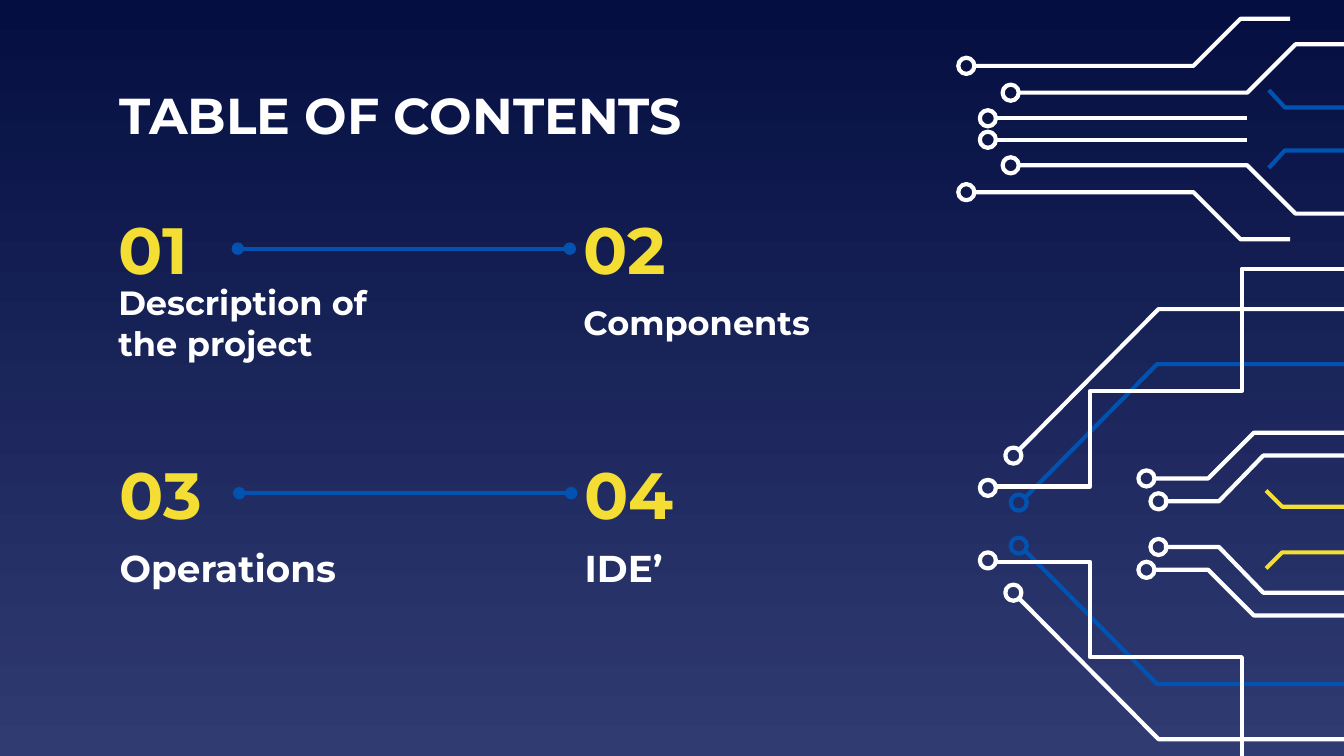
from dataclasses import dataclass

from lxml import etree
from pptx import Presentation
from pptx.dml.color import RGBColor
from pptx.enum.shapes import MSO_CONNECTOR, MSO_SHAPE
from pptx.enum.text import MSO_ANCHOR, MSO_AUTO_SIZE, PP_ALIGN
from pptx.oxml.ns import qn
from pptx.util import Cm, Pt

STRAIGHT = MSO_CONNECTOR.STRAIGHT
OVAL = MSO_SHAPE.OVAL
MIDDLE = MSO_ANCHOR.MIDDLE
FIXED = MSO_AUTO_SIZE.NONE
LEFT = PP_ALIGN.LEFT

COLORS = {"white": "FFFFFF", "blue": "0152B1", "yellow": "F5DE34",
          "top": "040E41", "base": "303B72"}
FONT = "Montserrat"
WIDTH = Pt(2.25)
RING = 0.12
GAP = 0.58  # from the top of a number to the top of its label


@dataclass
class Trace:
    """A circuit track; axis is the height of its mirror line."""
    axis: float
    points: list
    color: str = "white"
    ring: tuple = ()


@dataclass
class Entry:
    num: str
    label: str
    x: float
    y: float
    size: int
    tall: float = 0.52


HAND, CHIP, TIP = 0.96, 3.9, 3.94
TRACES = [
    # Upper bundle
    Trace(HAND, [(7.24, 0.49), (8.88, 0.49), (9.23, 0.14), (9.6, 0.14)],
          ring=(7.19, 0.49)),
    Trace(HAND, [(7.58, 0.69), (9.28, 0.69), (9.64, 0.33), (10.25, 0.33)],
          ring=(7.52, 0.69)),
    Trace(HAND, [(7.41, 0.88), (9.28, 0.88)], ring=(7.35, 0.88)),
    Trace(HAND, [(9.44, 0.67), (9.56, 0.8), (10.13, 0.8)], "blue"),
    # Lower bundle
    Trace(CHIP, [(7.62, 3.71), (8.61, 2.71), (10.19, 2.71)], "blue",
          (7.58, 3.74)),
    Trace(CHIP, [(7.41, 3.62), (8.11, 3.62), (8.11, 2.91), (9.24, 2.91),
                 (9.24, 2), (10.2, 2)], ring=(7.35, 3.63)),
    Trace(CHIP, [(7.58, 3.35), (8.62, 2.3), (10.2, 2.3)], ring=(7.54, 3.39)),
    Trace(CHIP, [(8.66, 3.73), (9.07, 3.73), (9.4, 3.39), (10.2, 3.39)],
          ring=(8.62, 3.73)),
    Trace(CHIP, [(8.58, 3.56), (8.99, 3.56), (9.33, 3.22), (10.2, 3.22)],
          ring=(8.53, 3.56)),
    Trace(TIP, [(9.42, 3.65), (9.54, 3.77), (10.11, 3.77)], "yellow"),
]

ENTRIES = [
    Entry("01", "Description of the project", 0.78, 1.56, 18, 0.82),
    Entry("02", "Components", 4.24, 1.56, 18),
    Entry("03", "Operations", 0.79, 3.38, 20),
    Entry("04", "IDE’", 4.25, 3.38, 20),
]


def cm(inch: float) -> Cm:
    return Cm(inch * 2.54)


def rgb(name: str) -> RGBColor:
    return RGBColor.from_string(COLORS[name])


def apply(item, values: dict) -> None:
    for key, value in values.items():
        setattr(item, key, value)


def stroke(shape, color: str) -> None:
    shape.line.color.rgb = rgb(color)
    shape.line.width = WIDTH


def outline(shape, color: str) -> None:
    shape.fill.background()
    shape.shadow.inherit = False
    stroke(shape, color)


def draw_trace(slide, trace: Trace, flip: bool) -> None:
    def place(x: float, y: float) -> tuple:
        return cm(x), cm(2 * trace.axis - y if flip else y)

    spots = [place(*point) for point in trace.points]
    form = slide.shapes.build_freeform(*spots[0], scale=1.0)
    form.add_line_segments(spots[1:], close=False)
    outline(form.convert_to_shape(), trace.color)
    if trace.ring:
        x, y = place(*trace.ring)
        half, side = cm(RING / 2), cm(RING)
        ring = slide.shapes.add_shape(OVAL, x - half, y - half, side, side)
        outline(ring, trace.color)


def write(shape, text: str, box: tuple, size: int, color: str) -> None:
    left, top, width, height = map(cm, box)
    apply(shape, {"left": left, "top": top, "width": width, "height": height})
    frame = shape.text_frame
    frame.text = text
    edge = cm(0.1)
    apply(frame, {"word_wrap": True, "auto_size": FIXED,
                  "vertical_anchor": MIDDLE, "margin_left": edge,
                  "margin_right": edge, "margin_top": edge,
                  "margin_bottom": edge})
    para = frame.paragraphs[0]
    apply(para, {"alignment": LEFT, "space_before": Pt(0), "line_spacing": 1.0})
    font = para.runs[0].font
    apply(font, {"name": FONT, "size": Pt(size), "bold": True})
    font.color.rgb = rgb(color)
    # Plain lines without bullet or indent
    props = para._p.get_or_add_pPr()
    for key in ("marL", "indent"):
        props.set(key, "0")
    etree.SubElement(props, qn("a:buNone"))


def draw_entry(slide, entry: Entry, holder):
    top = entry.y + GAP + 0.26 - entry.tall / 2
    write(holder, entry.label, (entry.x, top, 2.41, entry.tall),
          entry.size, "white")
    num = slide.shapes.add_textbox(0, 0, 0, 0)
    write(num, entry.num, (entry.x, entry.y, 0.99, GAP), 35, "yellow")
    return num


def join(slide, start, end) -> None:
    link = slide.shapes.add_connector(STRAIGHT, 0, 0, 0, 0)
    link.begin_connect(start, 3)
    link.end_connect(end, 1)
    stroke(link, "blue")
    props = link._element.spPr
    line = props.find(qn("a:ln"))
    for tag in ("a:headEnd", "a:tailEnd"):
        etree.SubElement(line, qn(tag), type="oval")
    etree.SubElement(props, qn("a:effectLst"))


def main() -> None:
    # Widescreen page, 16 to 9
    deck = Presentation()
    deck.slide_width = Cm(25.4)
    deck.slide_height = deck.slide_width * 9 // 16
    slide = deck.slides.add_slide(deck.slide_layouts[4])

    # Background, dark at the top
    fill = slide.background.fill
    fill.gradient()
    fill.gradient_angle = 270
    for stop, (spot, name) in zip(fill.gradient_stops,
                                  [(0, "top"), (1, "base")]):
        stop.position = spot
        stop.color.rgb = rgb(name)

    # Circuit tracks, each with its mirror image
    for trace in TRACES:
        for flip in (False, True):
            draw_trace(slide, trace, flip)

    # Title and entries
    title, *bodies = slide.placeholders
    write(title, "TABLE OF CONTENTS", (0.79, 0.59, 5.87, 0.52), 27, "white")
    nums = [draw_entry(slide, entry, body)
            for entry, body in zip(ENTRIES, bodies)]

    # Links between the numbers of a row
    for start, end in zip(nums[::2], nums[1::2]):
        join(slide, start, end)

    deck.save("out.pptx")


if __name__ == "__main__":
    main()
